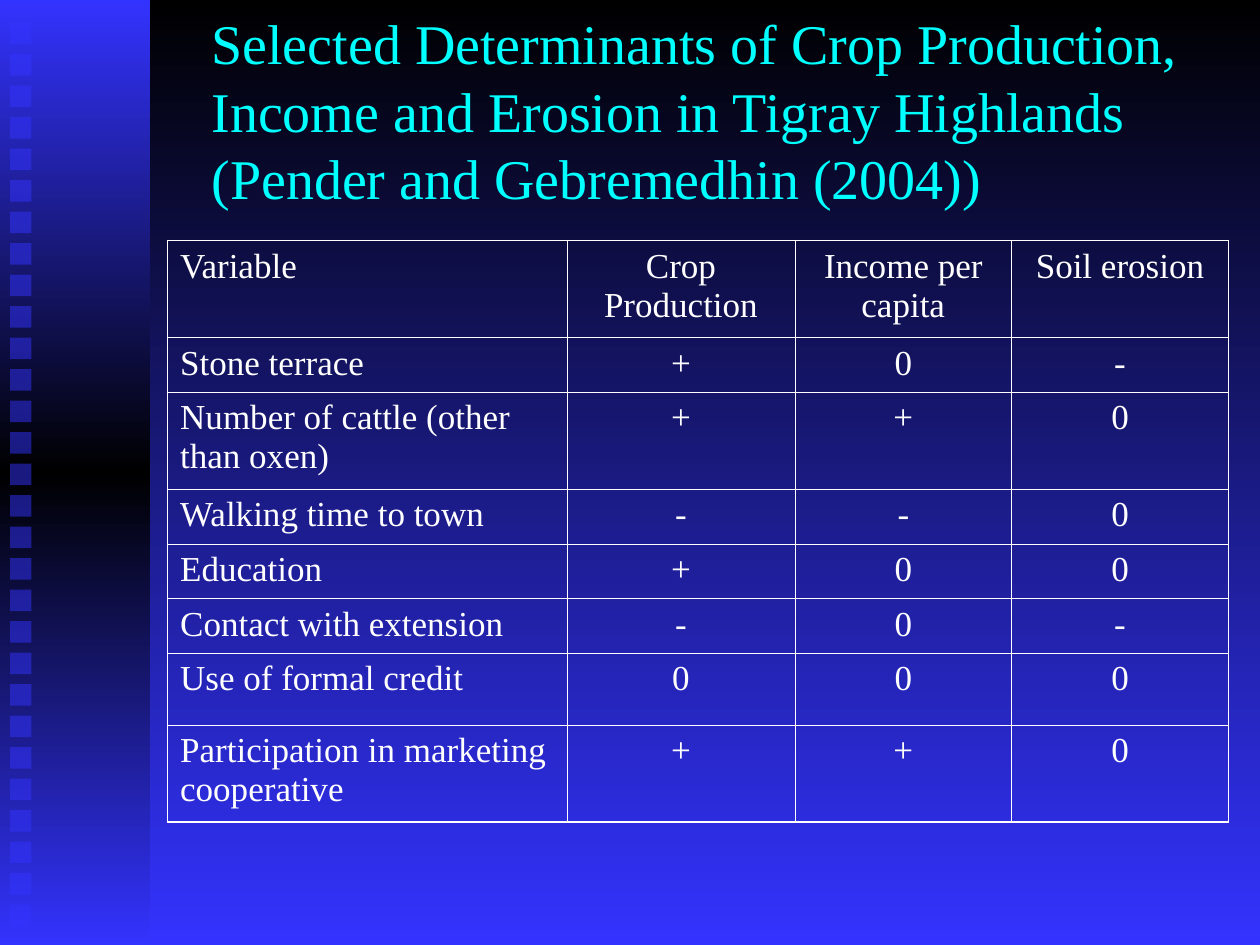
import copy

import pptx
import pptx.util
from lxml import etree
from pptx.dml.color import RGBColor
from pptx.enum.shapes import MSO_SHAPE
from pptx.enum.text import MSO_ANCHOR, PP_ALIGN
from pptx.oxml.ns import qn
from pptx.util import Inches

TITLE = (
    "Selected Determinants of Crop Production, Income and Erosion in Tigray Highlands"
    "\v(Pender and Gebremedhin (2004))"
)
DETERMINANTS = [
    ("Variable", "Crop Production", "Income per capita", "Soil erosion"),
    ("Stone terrace", "+", "0", "-"),
    ("Number of cattle (other than oxen)", "+", "+", "0"),
    ("Walking time to town", "-", "-", "0"),
    ("Education", "+", "0", "0"),
    ("Contact with extension", "-", "0", "-"),
    ("Use of formal credit", "0", "0", "0"),
    ("Participation in marketing cooperative", "+", "+", "0"),
]
COLUMN_WIDTHS = [3.17, 1.81, 1.72, 1.72]
ROW_HEIGHTS = [0.77, 0.43, 0.77, 0.43, 0.43, 0.43, 0.57, 0.77]

FONT = "Times New Roman"
BLACK = RGBColor(0x00, 0x00, 0x00)
BLUE = RGBColor(0x33, 0x33, 0xFF)
CYAN = RGBColor(0x00, 0xFF, 0xFF)
WHITE = RGBColor(0xFF, 0xFF, 0xFF)

SQUARE_COUNT = 29
SQUARE_SIZE = 0.17
SQUARE_PITCH = 0.25
OUTER_BORDER = 1.08
INNER_BORDER = 0.45


def style_text(paragraph, size, color):
    for run in paragraph.runs:
        run.font.name = FONT
        run.font.size = pptx.util.Pt(size)
        run.font.color.rgb = color


def shade_downward(fill, colors):
    fill.gradient_angle = 270
    for stop, color in zip(fill.gradient_stops, colors):
        stop.color.rgb = color


def add_rectangle(slide, left, top, width, height):
    rectangle = slide.shapes.add_shape(
        MSO_SHAPE.RECTANGLE, Inches(left), Inches(top), Inches(width), Inches(height)
    )
    rectangle.shadow.inherit = False
    rectangle.line.fill.background()
    return rectangle


def add_side_band(slide):
    band = add_rectangle(slide, 0, 0, 1.19, 7.5)
    band.fill.gradient()
    stops = band.element.spPr.find(".//" + qn("a:gsLst"))
    middle = copy.deepcopy(stops[0])
    middle.set("pos", "50000")
    stops.insert(1, middle)
    shade_downward(band.fill, [BLUE, BLACK, BLUE])

    for index in range(SQUARE_COUNT):
        top = 0.18 + index * SQUARE_PITCH
        square = add_rectangle(slide, 0.08, top, SQUARE_SIZE, SQUARE_SIZE)
        square.fill.solid()
        square.fill.fore_color.rgb = BLUE
        color = square.element.spPr.find(".//" + qn("a:srgbClr"))
        etree.SubElement(color, qn("a:alpha"), val="50000")


def add_title(slide):
    title = slide.shapes.add_textbox(Inches(1.58), Inches(0.33), Inches(8.42), Inches(1.08))
    frame = title.text_frame
    frame.word_wrap = True
    frame.vertical_anchor = MSO_ANCHOR.MIDDLE
    frame.text = TITLE
    style_text(frame.paragraphs[0], 32, CYAN)


def set_borders(cell, outer_sides):
    properties = cell._tc.get_or_add_tcPr()
    for position, side in enumerate(("L", "R", "T", "B")):
        width = OUTER_BORDER if side in outer_sides else INNER_BORDER
        border = etree.Element(qn("a:ln" + side), w=str(pptx.util.Pt(width)))
        solid = etree.SubElement(border, qn("a:solidFill"))
        etree.SubElement(solid, qn("a:srgbClr"), val=str(WHITE))
        properties.insert(position, border)


def add_determinants(slide):
    row_count, column_count = len(ROW_HEIGHTS), len(COLUMN_WIDTHS)
    table = slide.shapes.add_table(
        row_count, column_count, Inches(1.33), Inches(1.91),
        Inches(sum(COLUMN_WIDTHS)), Inches(sum(ROW_HEIGHTS)),
    ).table
    table.first_row = False
    table.horz_banding = False
    for column, width in zip(table.columns, COLUMN_WIDTHS):
        column.width = Inches(width)
    for row, height in zip(table.rows, ROW_HEIGHTS):
        row.height = Inches(height)

    for r, entries in enumerate(DETERMINANTS):
        for c, entry in enumerate(entries):
            cell = table.cell(r, c)
            cell.fill.background()
            cell.text = entry
            paragraph = cell.text_frame.paragraphs[0]
            paragraph.alignment = PP_ALIGN.CENTER if c else PP_ALIGN.LEFT
            style_text(paragraph, 20, WHITE)
            edges = {"L": c == 0, "R": c == column_count - 1,
                     "T": r == 0, "B": r == row_count - 1}
            set_borders(cell, [side for side, is_outer in edges.items() if is_outer])


def main():
    presentation = pptx.Presentation()
    presentation.slide_width = Inches(10)
    presentation.slide_height = Inches(7.5)
    slide = presentation.slides.add_slide(presentation.slide_layouts[6])
    backdrop = slide.background.fill
    backdrop.gradient()
    shade_downward(backdrop, [BLACK, BLUE])
    add_side_band(slide)
    add_title(slide)
    add_determinants(slide)
    presentation.save("out.pptx")


if __name__ == "__main__":
    main()
